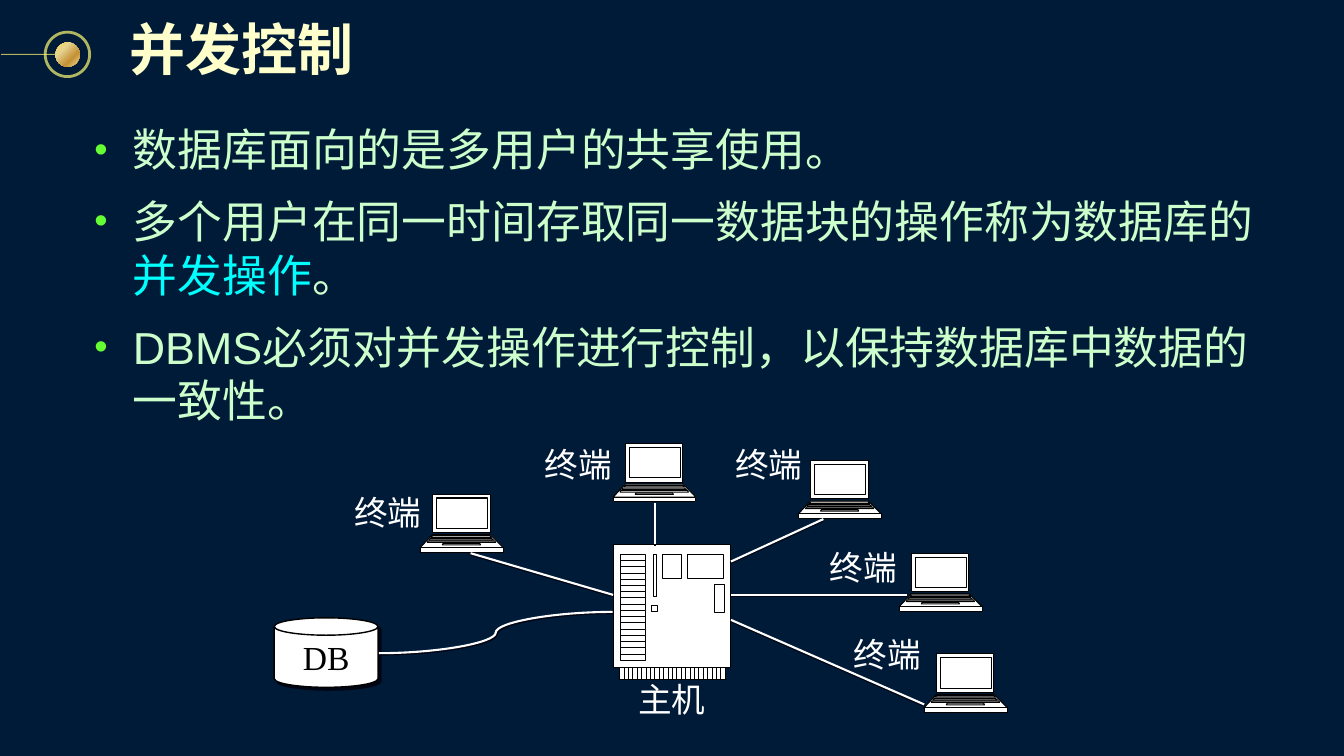
from lxml import etree
from pptx import Presentation
from pptx.dml.color import RGBColor
from pptx.enum.shapes import MSO_CONNECTOR, MSO_SHAPE
from pptx.enum.text import MSO_ANCHOR, MSO_AUTO_SIZE, PP_ALIGN
from pptx.oxml.ns import qn
from pptx.util import Cm, Pt

STRAIGHT, CURVE = MSO_CONNECTOR.STRAIGHT, MSO_CONNECTOR.CURVE
OVAL, CAN = MSO_SHAPE.OVAL, MSO_SHAPE.CAN
MIDDLE, TOP = MSO_ANCHOR.MIDDLE, MSO_ANCHOR.TOP
LEFT, CENTER = PP_ALIGN.LEFT, PP_ALIGN.CENTER
FIT = MSO_AUTO_SIZE.SHAPE_TO_FIT_TEXT

NAVY, WHITE, BLACK, SHADOW = "001B37", "FFFFFF", "000000", "000514"
CREAM, MINT, CYAN, LIME, YELLOW = "FFFFCC", "CCFFCC", "00FFFF", "66FF33", "FCF873"
GOLD = [(0, "FCD860"), (31, "E6D38F"), (68, "C69135"), (100, "F1DF97")]

BULLETS = [
    [("数据库面向的是多用户的共享使用。", MINT)],
    [("多个用户在同一时间存取同一数据块的操作称为数据库的", MINT),
     ("并发操作", CYAN), ("。", MINT)],
    [("DBMS必须对并发操作进行控制，以保持数据库中数据的一致性。", MINT)],
]
# Each terminal: label corner, laptop corner, ends of its link to the host
TERMINALS = [
    ((18.52, 11.18), (20.12, 11.6), (20.75, 13.08, 18.42, 14.15)),
    ((20.9, 13.79), (22.66, 13.94), (22.86, 14.99, 18.42, 14.99)),
    ((21.51, 15.98), (23.29, 16.48), (23.29, 17.75, 18.42, 15.62)),
    ((13.72, 11.18), (15.45, 11.18), (16.51, 12.67, 16.51, 13.72)),
    ((8.92, 12.4), (10.59, 12.45), (11.86, 13.94, 15.45, 14.99)),
]


def rgb(value):
    return RGBColor.from_string(value)


def child(parent, tag, **attrs):
    return etree.SubElement(parent, qn(tag), {k: str(v) for k, v in attrs.items()})


def add_shadow(props, distance, angle):
    """Put a hard shadow on shape or run properties; distance in points."""
    effects = child(props, "a:effectLst")
    shadow = child(effects, "a:outerShdw", dist=Pt(distance), dir=angle * 60000,
                   algn="ctr", rotWithShape=0)
    child(shadow, "a:srgbClr", val=SHADOW)


def trapezoid(x1, x2, y1, x3, x4, y2):
    """Corners of a band from x1..x2 at the top to x3..x4 at the bottom."""
    return [(x1, y1), (x3, y2), (x4, y2), (x2, y1)]


def rect(x1, y1, x2, y2):
    return trapezoid(x1, x2, y1, x1, x2, y2)


LAPTOP = [
    rect(0.31, 0, 1.76, 0.97),
    trapezoid(0.31, 1.76, 1.02, 0, 2.09, 1.35),
    rect(0, 1.35, 2.09, 1.47),
    rect(0.41, 0.1, 1.7, 0.86),
    trapezoid(0.31, 1.76, 1.05, 0.27, 1.8, 1.09),
    trapezoid(0.58, 1.5, 1.24, 0.56, 1.52, 1.28),
    trapezoid(0.25, 1.8, 1.12, 0.22, 1.85, 1.16),
    trapezoid(0.2, 1.88, 1.18, 0.18, 1.9, 1.22),
]


def host_outlines():
    """Cabinet, drive slots, ventilation ribs and front panels."""
    cabinet = [(15.45, 13.72), (15.45, 16.82), (15.62, 16.82), (15.62, 17.12),
               (18.28, 17.12), (18.28, 16.82), (18.42, 16.82), (18.42, 13.72)]
    slot, rib = (16.64 - 13.97) / 17, (18.28 - 15.62) / 24
    slots = [rect(15.65, 13.97 + i * slot, 16.28, 13.97 + (i + 1) * slot)
             for i in range(17)]
    ribs = [rect(15.62 + i * rib, 16.82, 15.62 + (i + 1) * rib, 17.12)
            for i in range(24)]
    panels = [rect(16.46, 13.97, 16.54, 15.04), rect(16.43, 15.27, 16.56, 15.42),
              rect(16.69, 13.97, 17.17, 14.58), rect(17.32, 13.97, 18.24, 14.58),
              rect(18.01, 14.73, 18.26, 15.44)]
    return [cabinet] + slots + ribs + panels


class Deck:
    """Holds the fonts and the current slide."""
    sans, serif = "Arial", "Times New Roman"

    def __init__(self, slide):
        self.s = slide
        fill = slide.background.fill
        fill.solid()
        fill.fore_color.rgb = rgb(NAVY)

    def run(self, p, text, size, color, font, bold=False):
        r = p.add_run()
        r.text = text
        r.font.size, r.font.name, r.font.bold = Pt(size), font, bold
        r.font.color.rgb = rgb(color)
        return r

    def frame(self, sp, inset, wrap, anchor=TOP):
        tf = sp.text_frame
        tf.margin_left = tf.margin_right = tf.margin_top = tf.margin_bottom = Cm(inset)
        tf.word_wrap, tf.vertical_anchor = wrap, anchor
        return tf

    def title(self, text, x, y, w, h):
        sp = self.s.shapes.title
        sp.left, sp.top, sp.width, sp.height = Cm(x), Cm(y), Cm(w), Cm(h)
        tf = self.frame(sp, 0.2, False, MIDDLE)
        tf.auto_size = FIT
        p = tf.paragraphs[0]
        p.alignment = LEFT
        r = self.run(p, text, 40, CREAM, self.sans, True)
        fill = r.font._element.find(qn("a:solidFill"))
        add_shadow(r.font._element, 2, 45)
        fill.addnext(r.font._element.find(qn("a:effectLst")))

    def bullets(self, items, x, y, w, h):
        sp = self.s.shapes.add_textbox(Cm(x), Cm(y), Cm(w), Cm(h))
        tf = self.frame(sp, 0.13, True)
        tf.margin_left = tf.margin_right = Cm(0.25)
        for i, runs in enumerate(items):
            p = tf.add_paragraph() if i else tf.paragraphs[0]
            ppr = p._p.get_or_add_pPr()
            ppr.set("marL", str(Cm(0.97)))
            ppr.set("indent", str(-Cm(0.97)))
            child(child(ppr, "a:buClr"), "a:srgbClr", val=LIME)
            child(ppr, "a:buSzPct", val=85000)
            child(ppr, "a:buFont", typeface=self.sans)
            child(ppr, "a:buChar", char="•")
            p.space_after = Pt(12.8)
            for text, color in runs:
                self.run(p, text, 32, color, self.sans)

    def label(self, text, x, y):
        sp = self.s.shapes.add_textbox(Cm(x), Cm(y), Cm(1.7), Cm(1.02))
        tf = self.frame(sp, 0, False)
        tf.auto_size = FIT
        tf.paragraphs[0].alignment = CENTER
        self.run(tf.paragraphs[0], text, 24, WHITE, self.serif)

    def shape(self, kind, x, y, w, h, fill=None, line=None, width=1):
        sp = self.s.shapes.add_shape(kind, Cm(x), Cm(y), Cm(w), Cm(h))
        return self.paint(sp, fill, line, width)

    def paint(self, sp, fill, line, width):
        sp.shadow.inherit = False
        if fill:
            sp.fill.solid()
            sp.fill.fore_color.rgb = rgb(fill)
        else:
            sp.fill.background()
        if line:
            sp.line.color.rgb = rgb(line)
            sp.line.width = Pt(width)
        else:
            sp.line.fill.background()
        return sp

    def line(self, x1, y1, x2, y2, color, width, kind=STRAIGHT, shadow=None):
        cx = self.s.shapes.add_connector(kind, Cm(x1), Cm(y1), Cm(x2), Cm(y2))
        cx.line.color.rgb, cx.line.width = rgb(color), Pt(width)
        props = cx._element.spPr
        if shadow:
            add_shadow(props, *shadow)
        else:
            child(props, "a:effectLst")
        return cx

    def drawing(self, outlines, x=0, y=0):
        """One freeform in which each outline is a filled path of its own."""
        fb = None
        for outline in outlines:
            pts = [(Cm(x + px), Cm(y + py)) for px, py in outline]
            if fb:
                fb.move_to(*pts[0])
            else:
                fb = self.s.shapes.build_freeform(*pts[0])
            fb.add_line_segments(pts[1:], close=True)
        sp = self.paint(fb.convert_to_shape(), WHITE, BLACK, 0.75)
        path = sp._element.spPr.find(".//" + qn("a:path"))
        paths = path.getparent()
        for move in path.findall(qn("a:moveTo"))[1:]:
            part = child(paths, "a:path", w=path.get("w"), h=path.get("h"))
            steps = [move]
            while steps[-1].tag != qn("a:close"):
                steps.append(steps[-1].getnext())
            part.extend(steps)

    def ornament(self):
        ring = self.shape(OVAL, 1.14, 0.81, 1.12, 1.12, line=YELLOW, width=2)
        bar = self.line(0.03, 1.37, 1.4, 1.37, YELLOW, 0.75)
        for item in (ring, bar):
            color = item._element.spPr.find(qn("a:ln")).find(".//" + qn("a:srgbClr"))
            child(color, "a:alpha", val=70000)
        dot = self.shape(OVAL, 1.4, 1.07, 0.61, 0.61)
        dot.rotation = ring.rotation = 270
        dot.fill.gradient()
        dot.fill.gradient_angle = 225
        stops = dot._element.spPr.find(".//" + qn("a:gsLst"))
        stops[:] = []
        for pos, color in GOLD:
            child(child(stops, "a:gs", pos=pos * 1000), "a:srgbClr", val=color)

    def database(self, text, x, y, w, h):
        sp = self.shape(CAN, x, y, w, h, WHITE, BLACK)
        props = sp._element.spPr
        props.remove(props.find(qn("a:effectLst")))
        add_shadow(props, 2.8, 45)
        p = self.frame(sp, 0, False, MIDDLE).paragraphs[0]
        p.alignment = CENTER
        self.run(p, text, 24, BLACK, self.serif)


def main():
    prs = Presentation()
    prs.slide_width, prs.slide_height = Cm(33.87), Cm(19.05)
    deck = Deck(prs.slides.add_slide(prs.slide_layouts[5]))
    deck.ornament()
    deck.title("并发控制", 3.07, 0.15, 6.1, 2.11)
    deck.bullets(BULLETS, 2.13, 2.95, 30, 6.83)
    deck.drawing(host_outlines())
    deck.database("DB", 6.91, 15.57, 2.62, 1.75)
    deck.line(15.44, 15.42, 9.55, 16.46, WHITE, 1.5, CURVE, (1.4, 45))
    deck.label("主机", 16.08, 17.12)
    for label, laptop, _ in TERMINALS:
        deck.label("终端", *label)
        deck.drawing(LAPTOP, *laptop)
    for _, _, link in TERMINALS:
        deck.line(*link, WHITE, 1.5, shadow=(1, 90))
    prs.save("out.pptx")


if __name__ == "__main__":
    main()
